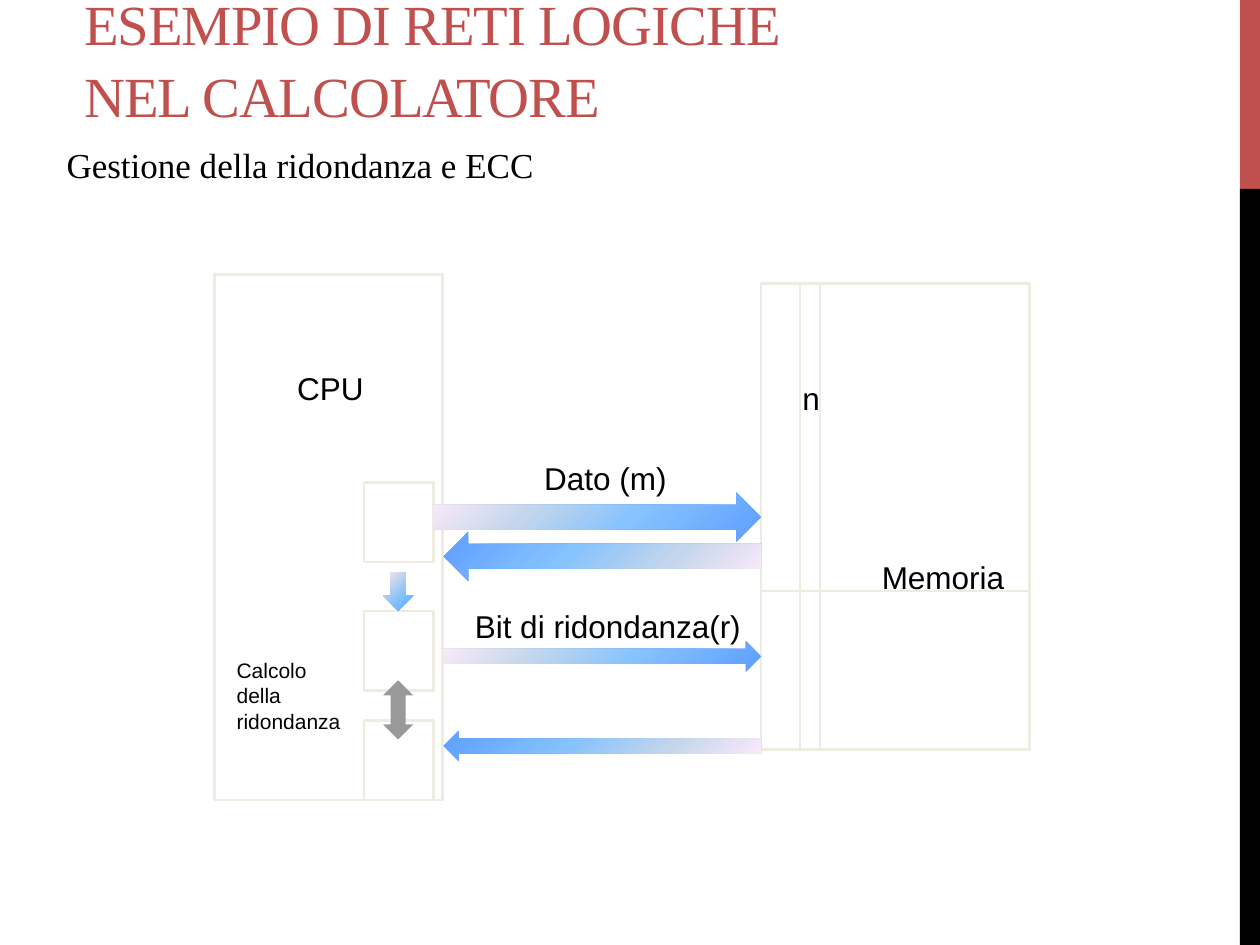
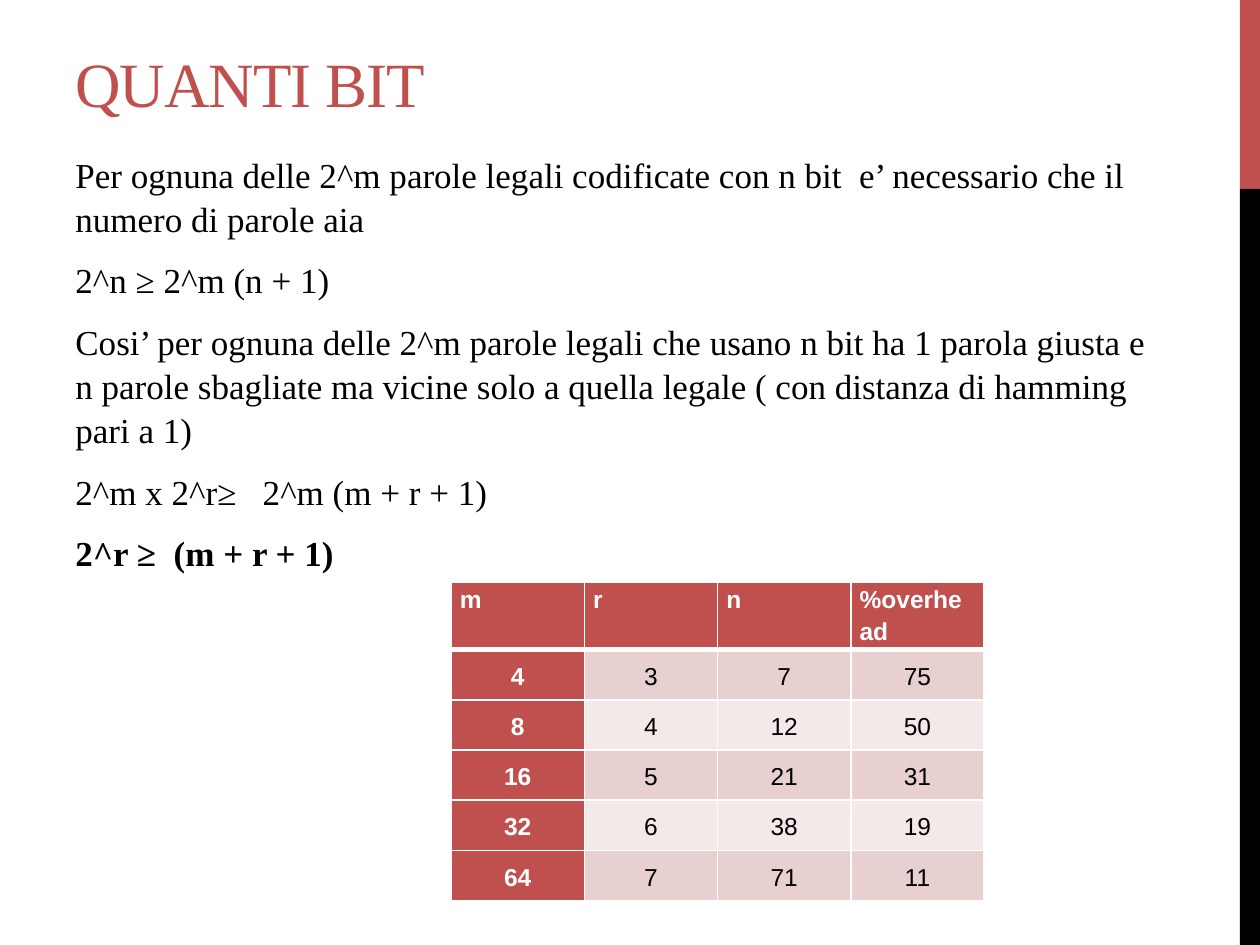
"""Build two slides on redundancy bits: a data path diagram and a table of bit counts."""
from lxml import etree
from pptx import Presentation
from pptx import util as u
from pptx.dml.color import RGBColor
from pptx.enum import shapes, text
from pptx.oxml import parse_xml
from pptx.oxml.ns import nsdecls, qn

HUES = {"red": "C0504D", "black": "000000", "white": "FFFFFF", "sand": "EEECE1",
        "grey": "999999", "rose": "E8D0D0", "blush": "F4E9E9"}
FADE = {0: "5E9EFF", 40: "85C2FF", 70: "C4D6EB", 100: "FFEBFA"}
SERIF, SANS = "Times New Roman", "Arial"
KIND = shapes.MSO_SHAPE

deck = Presentation()
deck.slide_width, deck.slide_height = u.Inches(10), u.Inches(7.5)
COL, ROW = deck.slide_width / 100, deck.slide_height / 75


def draw(slide, kind, box, fill=None, line=None, turn=0):
    """Add a preset shape; box is left, top, width, height in columns and rows."""
    x, y, w, h = box
    form = slide.shapes.add_shape(kind, *map(round, (x * COL, y * ROW, w * COL, h * ROW)))
    form.shadow.inherit = False
    form.rotation = turn
    form.fill.background()
    form.line.fill.background()
    if fill == "fade":
        stops = "".join(f'<a:gs pos="{pos * 1000}"><a:srgbClr val="{hue}"/></a:gs>'
                        for pos, hue in FADE.items())
        blank = form.element.spPr.find(qn("a:noFill"))
        blank.getparent().replace(blank, parse_xml(
            f'<a:gradFill {nsdecls("a")} rotWithShape="1"><a:gsLst>{stops}</a:gsLst>'
            f'<a:lin ang="{225 * 60000}" scaled="0"/></a:gradFill>'))
    elif fill:
        form.fill.solid()
        form.fill.fore_color.rgb = RGBColor.from_string(HUES[fill])
    if line:
        form.line.color.rgb = RGBColor.from_string(HUES["sand"])
        form.line.width = u.Pt(line)


def write(slide, box, lines, size, face=SANS, hue="black", wrap=True):
    """Add a text box with one paragraph per line and return its frame."""
    x, y, w, h = box
    frame = slide.shapes.add_textbox(
        *map(round, (x * COL, y * ROW, w * COL, h * ROW))).text_frame
    frame.word_wrap = wrap
    frame.text = "\n".join(lines)
    for para in frame.paragraphs:
        para.font.size, para.font.name = u.Pt(size), face
        para.font.color.rgb = RGBColor.from_string(HUES[hue])
        if face == SERIF:
            para.line_spacing = 1.05
    return frame


pages = [
    ("ESEMPIO DI RETI LOGICHE NEL CALCOLATORE", 32.4, (5.7, 2.4, 63.3, 8.3),
     ["Gestione della ridondanza e ECC"], (4.3, 10.7, 90, 57.8)),
    ("QUANTI BIT", 36, (5, 1.7, 63.3, 8.3),
     ["Per ognuna delle 2^m parole legali codificate con n bit  e’ necessario che il "
      "numero di parole aia",
      "2^n ≥ 2^m (n + 1)",
      "Cosi’ per ognuna delle 2^m parole legali che usano n bit ha 1 parola giusta e n parole "
      "sbagliate ma vicine solo a quella legale ( con distanza di hamming pari a 1)",
      "2^m x 2^r≥   2^m (m + r + 1)",
      "2^r ≥  (m + r + 1)"], (5, 11.5, 88.3, 61.4)),
]
slides = []
for title, size, spot, lines, room in pages:
    slide = deck.slides.add_slide(deck.slide_layouts[6])
    slides.append(slide)
    draw(slide, KIND.RECTANGLE, (98.4, 0, 1.6, 15), "red")
    draw(slide, KIND.RECTANGLE, (98.4, 15, 1.6, 60), "black")
    head = write(slide, spot, [title], size, SERIF, "red")
    head.vertical_anchor = text.MSO_ANCHOR.BOTTOM
    head.paragraphs[0].runs[0].font._element.set("spc", "-60")
    body = write(slide, room, lines, 20, SERIF)
    for para in body.paragraphs:
        para.space_before, para.space_after = u.Pt(4), u.Pt(6)
body.paragraphs[-1].font.bold = True

plan, sums = slides

cells = [(28.9, top, 5.5, 6.3) for top in (38.3, 48.5, 57.2)]
for box in [(17, 21.8, 18.1, 41.7), *cells, (60.4, 22.5, 21.3, 24.4), (60.4, 46.9, 21.3, 12.6)]:
    draw(plan, KIND.RECTANGLE, box, line=1.5)
draw(plan, KIND.RECTANGLE, (63.5, 22.5, 1.6, 37), line=0.75)

for box, turn in [((34.4, 39.1, 26, 3.9), 0), ((35.2, 42.2, 25.2, 3.9), 180),
                  ((35.2, 50.9, 25.2, 2.4), 0), ((35.2, 58, 25.2, 2.4), 180)]:
    draw(plan, KIND.RIGHT_ARROW, box, "fade", turn=turn)
draw(plan, KIND.DOWN_ARROW, (30.4, 45.4, 2.4, 3.1), "fade")
draw(plan, KIND.UP_DOWN_ARROW, (30.4, 54, 2.4, 4.7), "grey")

for word, x, y, w in [("CPU", 22.6, 28.8, 7.3), ("Dato (m)", 42.2, 35.9, 11.8),
                      ("Bit di ridondanza(r)", 36.7, 47.7, 23.3),
                      ("n", 62.7, 29.6, 3.4), ("Memoria", 69, 43.8, 11.8)]:
    write(plan, (x, y, w, 4), [word], 18, wrap=False)
write(plan, (17.8, 51.7, 11, 7.1), ["Calcolo della ridondanza"], 12)

data = [("m", "r", "n", "%overhead"), (4, 3, 7, 75), (8, 4, 12, 50),
        (16, 5, 21, 31), (32, 6, 38, 19), (64, 7, 71, 11)]
grid = sums.shapes.add_table(
    len(data), len(data[0]),
    *map(round, (35.8 * COL, 46.2 * ROW, 42.3 * COL, 23.9 * ROW))).table
for i, items in enumerate(data):
    for j, item in enumerate(items):
        cell = grid.cell(i, j)
        dark = i == 0 or j == 0
        cell.text = str(item)
        cell.margin_left = cell.margin_right = u.Inches(0.07)
        cell.margin_top = cell.margin_bottom = 0
        cell.vertical_anchor = text.MSO_ANCHOR.MIDDLE if i else text.MSO_ANCHOR.TOP
        para = cell.text_frame.paragraphs[0]
        para.alignment = text.PP_ALIGN.CENTER if i else text.PP_ALIGN.JUSTIFY
        para.line_spacing, para.space_before = 1.15, u.Pt(10)
        para.font.size, para.font.name, para.font.bold = u.Pt(14), SANS, dark
        para.font.color.rgb = RGBColor.from_string(HUES["white" if dark else "black"])
        props = cell._tc.get_or_add_tcPr()
        for side in "LRTB":
            thick = (i, side) in ((0, "B"), (1, "T"))
            edge = etree.SubElement(props, qn(f"a:ln{side}"), w=str(u.Pt(3 if thick else 1)))
            ink = etree.SubElement(edge, qn("a:solidFill"))
            etree.SubElement(ink, qn("a:srgbClr"), val=HUES["white"])
        cell.fill.solid()
        shade = "red" if dark else "rose" if i % 2 else "blush"
        cell.fill.fore_color.rgb = RGBColor.from_string(HUES[shade])

deck.save("out.pptx")
